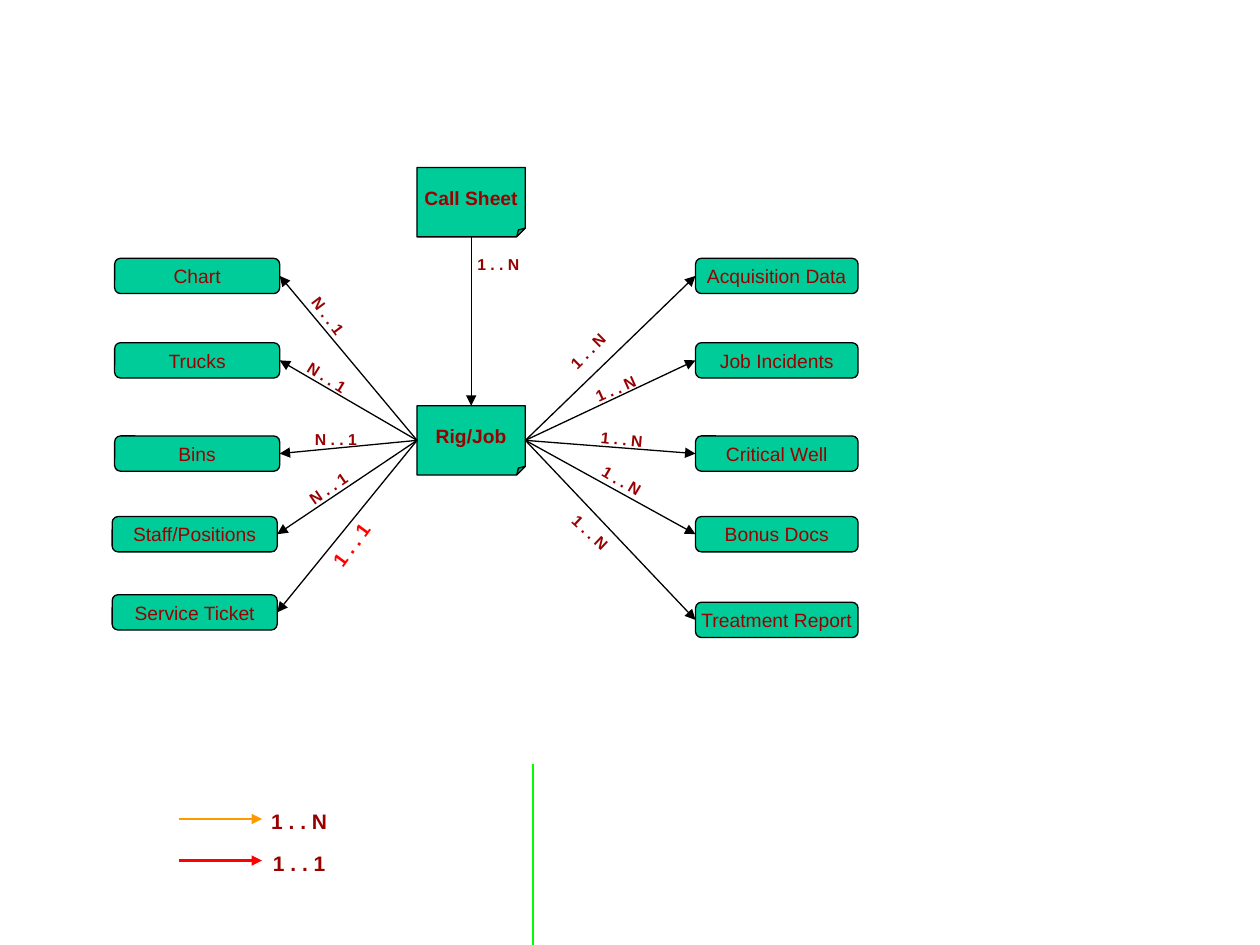
import pptx
from pptx.dml.color import RGBColor
from pptx.enum.shapes import MSO_CONNECTOR, MSO_SHAPE
from pptx.enum.text import MSO_ANCHOR, PP_ALIGN
from pptx.oxml.ns import qn
from pptx.util import Inches, Pt
from lxml import etree

GREEN, BLACK, MAROON, RED = "00CC99", "000000", "990000", "FF0000"

HUB_LEFT, HUB_WIDTH, HUB_HEIGHT = 3.31, 0.86, 0.55
CALL_SHEET_TOP, RIG_JOB_TOP = 1.33, 3.22
BOX_HEIGHT = 0.28
LEFT_WIDTH, RIGHT_LEFT, RIGHT_WIDTH = 1.31, 5.52, 1.29

# name, box left, box top, label, label left, label top, rotation
LEFT_ENTITIES = [
    ("Chart", 0.91, 2.05, "N . . 1", 2.33, 2.38, 53.3),
    ("Trucks", 0.91, 2.72, "N . . 1", 2.32, 2.87, 31.6),
    ("Bins", 0.91, 3.46, "N . . 1", 2.39, 3.36, 0),
    ("Staff/Positions", 0.89, 4.1, "N . . 1", 2.33, 3.75, 325.6),
    ("Service Ticket", 0.89, 4.72, "1 . . 1", 2.36, 4.18, 306.2),
]
# name, box top, label left, label top, rotation
RIGHT_ENTITIES = [
    ("Acquisition Data", 2.05, 4.39, 2.66, 315.2),
    ("Job Incidents", 2.72, 4.61, 2.96, 335.9),
    ("Critical Well", 3.46, 4.66, 3.36, 5.5),
    ("Bonus Docs", 4.1, 4.66, 3.69, 30.5),
    ("Treatment Report", 4.78, 4.41, 4.1, 43),
]
# label, line colour, line height, label top
LEGEND = [("1 . . N", "FF9900", 6.5, 6.37), ("1 . . 1", RED, 6.83, 6.7)]


def rgb(color):
    return RGBColor.from_string(color)


def write(shape, text, size=11, color=MAROON, bold=False, wrap=False,
          anchor=MSO_ANCHOR.MIDDLE):
    frame = shape.text_frame
    frame.word_wrap = wrap
    frame.vertical_anchor = anchor
    paragraph = frame.paragraphs[0]
    paragraph.alignment = PP_ALIGN.CENTER
    run = paragraph.add_run()
    run.text = text
    run.font.name = "Arial"
    run.font.size = Pt(size)
    run.font.bold = bold
    run.font.color.rgb = rgb(color)


def add_box(slide, preset, text, left, top, width, height, bold=False):
    shape = slide.shapes.add_shape(
        preset, Inches(left), Inches(top), Inches(width), Inches(height))
    shape.shadow.inherit = False
    shape.fill.solid()
    shape.fill.fore_color.rgb = rgb(GREEN)
    shape.line.color.rgb = rgb(BLACK)
    shape.line.width = Pt(0.75)
    write(shape, text, bold=bold)
    return shape


def add_hub(slide, text, top):
    hub = add_box(slide, MSO_SHAPE.FOLDED_CORNER, text,
                  HUB_LEFT, top, HUB_WIDTH, HUB_HEIGHT, bold=True)
    geometry = hub._element.spPr.find(qn("a:prstGeom"))
    guides = geometry.find(qn("a:avLst"))
    if guides is None:
        guides = etree.SubElement(geometry, qn("a:avLst"))
    etree.SubElement(guides, qn("a:gd"), name="adj", fmla="val 12500")


def add_entity(slide, text, left, top, width):
    add_box(slide, MSO_SHAPE.ROUNDED_RECTANGLE, text, left, top, width, BOX_HEIGHT)


def add_line(slide, start, end, color=BLACK, width=0.75, arrow=True):
    line = slide.shapes.add_connector(
        MSO_CONNECTOR.STRAIGHT, *map(Inches, start + end))
    line.line.color.rgb = rgb(color)
    line.line.width = Pt(width)
    properties = line._element.spPr
    if arrow:
        etree.SubElement(properties.find(qn("a:ln")), qn("a:tailEnd"), type="triangle")
    etree.SubElement(properties, qn("a:effectLst"))


def add_label(slide, text, left, top, width=0.55, height=0.25, rotation=0,
              size=9, color=MAROON):
    box = slide.shapes.add_textbox(
        Inches(left), Inches(top), Inches(width), Inches(height))
    box.rotation = rotation
    write(box, text, size=size, color=color, bold=True, wrap=True,
          anchor=MSO_ANCHOR.TOP)


def main():
    presentation = pptx.Presentation()
    presentation.slide_width = Inches(10)
    presentation.slide_height = Inches(7.5)
    slide = presentation.slides.add_slide(presentation.slide_layouts[6])

    add_hub(slide, "Call Sheet", CALL_SHEET_TOP)
    add_hub(slide, "Rig/Job", RIG_JOB_TOP)
    hub_center = HUB_LEFT + HUB_WIDTH / 2
    hub_right = HUB_LEFT + HUB_WIDTH
    hub_middle = RIG_JOB_TOP + HUB_HEIGHT / 2
    add_line(slide, (hub_center, CALL_SHEET_TOP + HUB_HEIGHT),
             (hub_center, RIG_JOB_TOP))
    add_label(slide, "1 . . N", 3.68, 1.97)

    for name, left, top, label, label_left, label_top, rotation in LEFT_ENTITIES:
        add_entity(slide, name, left, top, LEFT_WIDTH)
        add_line(slide, (HUB_LEFT, hub_middle),
                 (left + LEFT_WIDTH, top + BOX_HEIGHT / 2))
        one_to_one = {}
        if label == "1 . . 1":
            one_to_one = {"width": 0.86, "height": 0.29, "size": 11, "color": RED}
        add_label(slide, label, label_left, label_top, rotation=rotation, **one_to_one)

    for name, top, label_left, label_top, rotation in RIGHT_ENTITIES:
        add_entity(slide, name, RIGHT_LEFT, top, RIGHT_WIDTH)
        add_line(slide, (hub_right, hub_middle),
                 (RIGHT_LEFT, top + BOX_HEIGHT / 2))
        add_label(slide, "1 . . N", label_left, label_top, rotation=rotation)

    add_line(slide, (4.23, 6.06), (4.23, 7.5), "00FF00", 1.5, arrow=False)
    for label, color, line_top, label_top in LEGEND:
        add_line(slide, (1.42, line_top), (2.08, line_top), color, 1.5)
        add_label(slide, label, 2, label_top, 0.75, 0.3, size=12)

    presentation.save("out.pptx")


if __name__ == "__main__":
    main()
